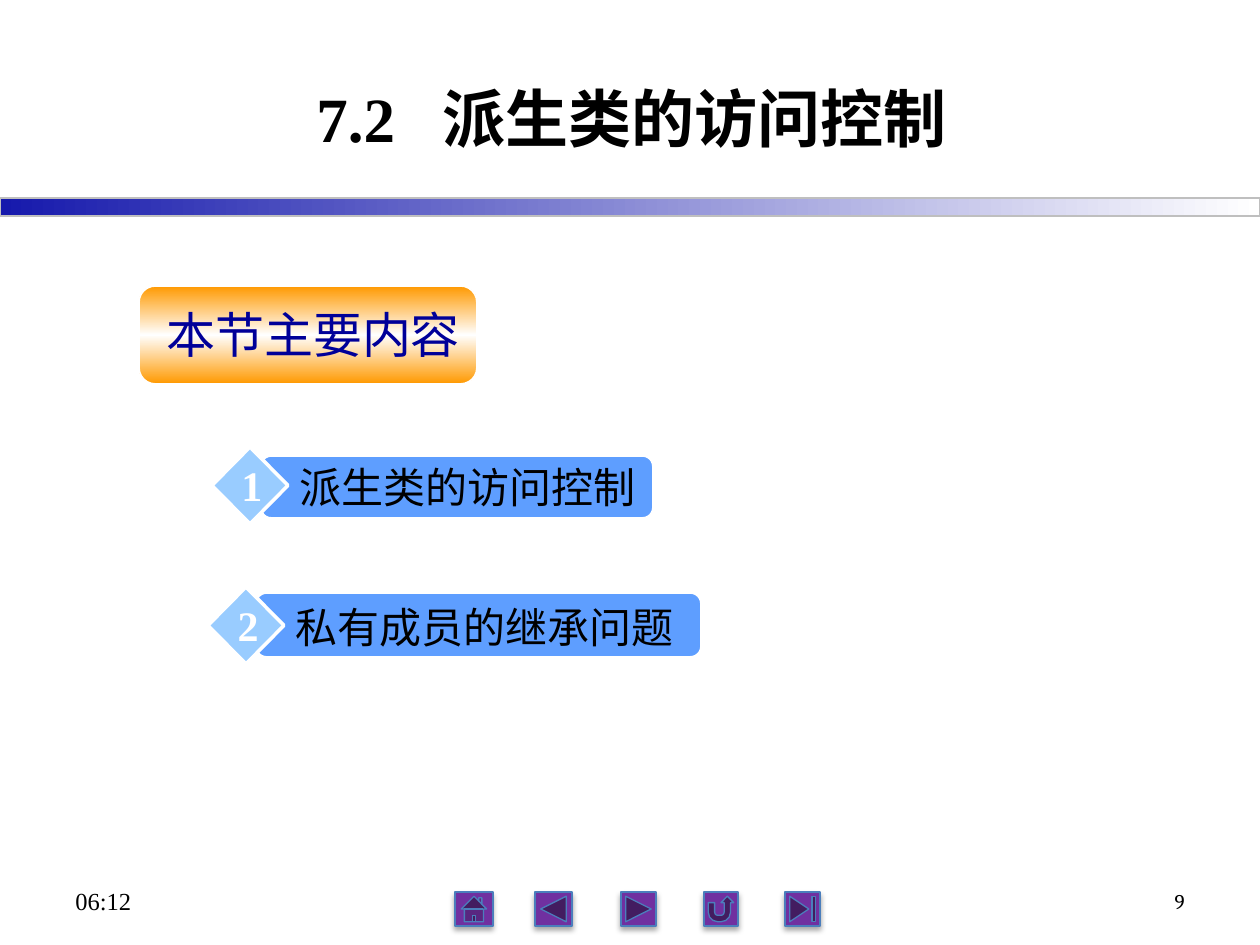
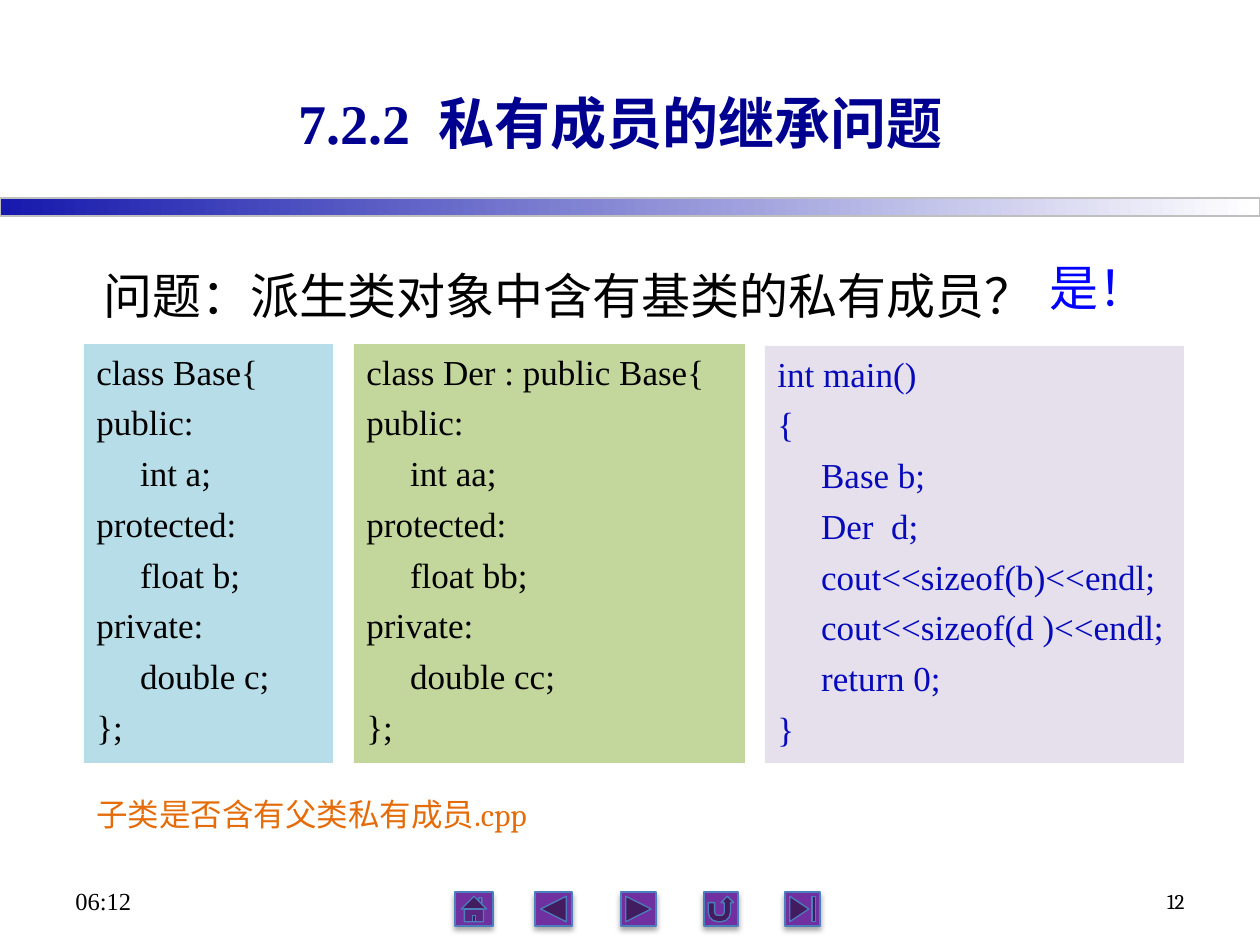
from pptx import Presentation, util as u
from pptx.dml.color import RGBColor
from pptx.enum import shapes, text
from pptx.oxml import parse_xml
from pptx.oxml.ns import nsdecls, qn

PX = 914400 / 126
SHAPE = shapes.MSO_SHAPE
ALIGN = text.PP_ALIGN
SERIF, BOOK, SANS = "Times New Roman", "Cambria", "Arial"
HAN = "Noto Sans CJK SC"
BLACK, WHITE, NAVY = "000000", "FFFFFF", "000099"
BAR, GEM, ORANGE = "5E9EFF", "99CCFF", "FF9900"
BUTTONS = [
    (SHAPE.ACTION_BUTTON_HOME, 455, 38),
    (SHAPE.ACTION_BUTTON_BACK_OR_PREVIOUS, 535, 37),
    (SHAPE.ACTION_BUTTON_FORWARD_OR_NEXT, 621, 35),
    (SHAPE.ACTION_BUTTON_RETURN, 704, 34),
    (SHAPE.ACTION_BUTTON_END, 785, 35),
]
BASE = """class Base{
public:
     int a;
protected:
     float b;
private:
     double c;
};"""
DERIVED = """class Der : public Base{
public:
     int aa;
protected:
     float bb;
private:
     double cc;
};"""
MAIN = """int main()
{
     Base b;
     Der  d;
     cout<<sizeof(b)<<endl;
     cout<<sizeof(d )<<endl;
     return 0;
}"""


def emu(*px):
    return [u.Emu(round(n * PX)) for n in px]


def color(code):
    return RGBColor.from_string(code)


def style(para, size, font=SERIF, ink=BLACK, bold=False):
    para.font.size = u.Pt(size)
    para.font.bold = bold
    para.font.color.rgb = color(ink)
    para.font.name = font
    east = parse_xml(f'<a:ea {nsdecls("a")} typeface="{HAN}"/>')
    para.font._element.find(qn("a:latin")).addnext(east)


def write(frame, words, size, font=SERIF, ink=BLACK, bold=False,
          align=ALIGN.LEFT, anchor=text.MSO_ANCHOR.TOP, gap=0):
    """Fill a frame, one paragraph per line, with gap points between them."""
    frame.word_wrap = True
    frame.vertical_anchor = anchor
    for i, line in enumerate(words.split("\n")):
        para = frame.add_paragraph() if i else frame.paragraphs[0]
        para.text = line
        para.alignment = align
        if i and gap:
            para.space_before = u.Pt(gap)
        style(para, size, font, ink, bold)


def label(slide, box, words, size, **look):
    frame = slide.shapes.add_textbox(*emu(*box)).text_frame
    write(frame, words, size, **look)
    return frame


def block(slide, kind, box, fill=None, line=None, width=1):
    shape = slide.shapes.add_shape(kind, *emu(*box))
    shape.shadow.inherit = False
    if fill:
        shape.fill.solid()
        shape.fill.fore_color.rgb = color(fill)
    if line:
        shape.line.color.rgb = color(line)
        shape.line.width = u.Pt(width)
    else:
        shape.line.fill.background()
    return shape


def blend(shape, stops, angle):
    """Give an unfilled shape a linear gradient of evenly spaced colours."""
    step = 100000 // (len(stops) - 1)
    marks = "".join(
        f'<a:gs pos="{i * step}"><a:srgbClr val="{code}"/></a:gs>'
        for i, code in enumerate(stops))
    grad = parse_xml(
        f'<a:gradFill {nsdecls("a")} rotWithShape="1"><a:gsLst>{marks}</a:gsLst>'
        f'<a:lin ang="{angle * 60000}" scaled="0"/></a:gradFill>')
    shape._element.spPr.find(qn("a:prstGeom")).addnext(grad)


def shade(shape):
    glow = parse_xml(
        f'<a:outerShdw {nsdecls("a")} blurRad="{u.Pt(3.1)}" dist="{u.Pt(1.8)}" '
        'dir="5400000" rotWithShape="0"><a:srgbClr val="000000">'
        '<a:alpha val="35000"/></a:srgbClr></a:outerShdw>')
    shape._element.spPr.find(qn("a:effectLst")).append(glow)


def head(slide, box, number, words, size, ink, space):
    """Set the title; space is the extra points between number and words."""
    title = slide.shapes.title
    title.left, title.top, title.width, title.height = emu(*box)
    frame = title.text_frame
    frame.word_wrap = True
    frame.vertical_anchor = text.MSO_ANCHOR.MIDDLE
    para = frame.paragraphs[0]
    para.alignment = ALIGN.CENTER
    for part in (number, " ", words):
        para.add_run().text = part
    para.runs[1]._r.get_or_add_rPr().set("spc", str(space * 100))
    style(para, size, SERIF, ink, True)


def page(deck, number):
    """Add a slide with the shared band, buttons, time and page number."""
    slide = deck.slides.add_slide(deck.slide_layouts[5])
    band = block(slide, SHAPE.RECTANGLE, (0, 198, 1260, 18), None, "BFBFBF", 0.75)
    blend(band, ["1619AC", WHITE], 0)
    for kind, left, width in BUTTONS:
        shade(block(slide, kind, (left, 892, width, 34), "7030A0", "4B7EBC", 0.75))
    middle = text.MSO_ANCHOR.MIDDLE
    label(slide, (63, 876, 294, 50), "06:12", 14, anchor=middle)
    label(slide, (903, 876, 294, 50), str(number), 12, font=BOOK,
          align=ALIGN.RIGHT, anchor=middle)
    return slide


def topic(slide, number, words, left, top, bar):
    block(slide, SHAPE.ROUNDED_RECTANGLE, bar, BAR, WHITE)
    block(slide, SHAPE.DIAMOND, (left, top, 76, 77), GEM, WHITE, 2)
    label(slide, (left + 75, top + 8, bar[2] - 25, 63), words, 24)
    label(slide, (left + 5, top + 6, 70, 63), str(number), 24, ink=WHITE,
          bold=True, align=ALIGN.CENTER)


def code(slide, box, words, fill, ink=BLACK):
    shape = block(slide, SHAPE.RECTANGLE, box, fill)
    write(shape.text_frame, words, 20, ink=ink, gap=5)


def outline(deck):
    slide = page(deck, 9)
    head(slide, (140, 38, 983, 158), "7.2", "派生类的访问控制", 36, BLACK, 18)
    plate = block(slide, SHAPE.ROUNDED_RECTANGLE, (139, 286, 338, 98), None, WHITE)
    blend(plate, [ORANGE, WHITE, ORANGE], 90)
    label(slide, (154, 298, 322, 72), "本节主要内容", 28, font=SANS, ink=NAVY)
    topic(slide, 1, "派生类的访问控制", 212, 447, (261, 456, 392, 62))
    topic(slide, 2, "私有成员的继承问题", 208, 587, (256, 593, 445, 64))


def question(deck):
    slide = page(deck, 12)
    head(slide, (129, 43, 983, 158), "7.2.2", "私有成员的继承问题", 32, "000090", 8)
    ask = label(slide, (91, 242, 1067, 89), "问题：派生类对象中含有基类的私有成员？", 28)
    ask.paragraphs[0].line_spacing = 1.3
    code(slide, (84, 344, 249, 419), BASE, "B7DEE8")
    code(slide, (354, 344, 391, 419), DERIVED, "C3D69B")
    code(slide, (765, 346, 419, 417), MAIN, "E6E0EC", "060ABA")
    label(slide, (84, 789, 480, 50), "子类是否含有父类私有成员.cpp", 18,
          font=BOOK, ink="E46C0A")
    label(slide, (1037, 251, 132, 72), "是！", 28, font=BOOK, ink="0000FF")


def main():
    deck = Presentation()
    deck.slide_width, deck.slide_height = emu(1260, 945)
    outline(deck)
    question(deck)
    deck.save("out.pptx")


if __name__ == "__main__":
    main()
